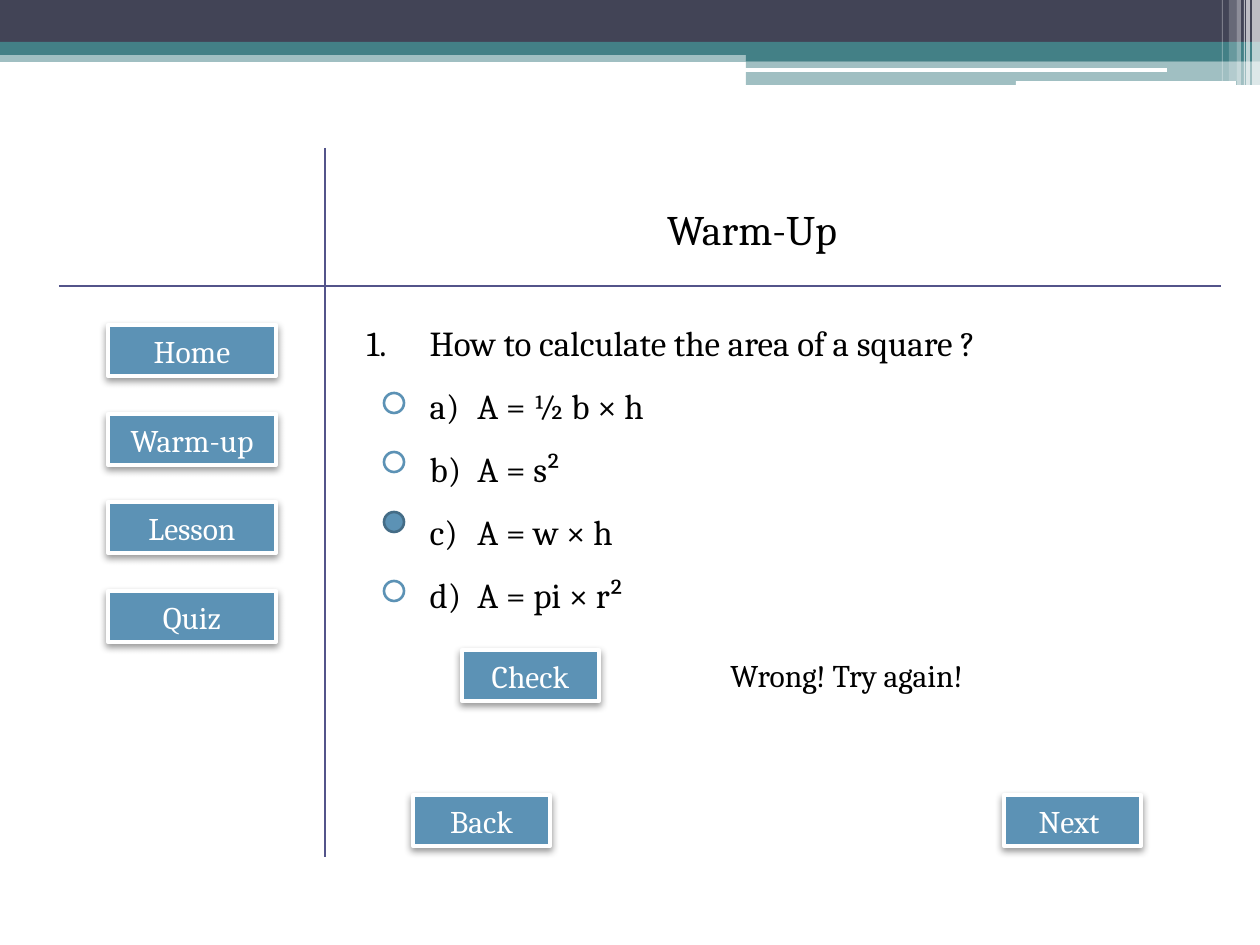
from lxml.etree import SubElement
from pptx import Presentation
from pptx.dml.color import RGBColor
from pptx.enum.shapes import MSO_CONNECTOR, MSO_SHAPE
from pptx.enum.text import MSO_ANCHOR, MSO_AUTO_SIZE, PP_ALIGN
from pptx.oxml.ns import qn
from pptx.util import Inches, Pt

PX = 914400 / 126
FONT = "Cambria"
BLUE, DARK_BLUE, RULE = "5C92B5", "446C86", "53548A"
NAVY, TEAL, WHITE, BLACK = "424456", "438086", "FFFFFF", "000000"

TITLE = ("Warm-Up", (344, 197, 816, 63))
QUESTION = "How to calculate the area of a square ?"
ANSWERS = ["A = ½ b × h", "A = s²", "A = w × h", "A = pi × r²"]
QUIZ_BOX = (354, 315, 857, 302)
FEEDBACK = ("Wrong! Try again!", (718, 650, 286, 51))

MENU = ["Home", "Warm-up", "Lesson", "Quiz"]
MENU_LEFT, MENU_TOP, MENU_PITCH, MENU_WIDTH = 108, 325, 88.6, 168
ACTIONS = [("Check", 462, 650), ("Next ", 1004, 795), ("Back", 413, 795)]
ACTION_WIDTH, BUTTON_HEIGHT = 137, 51

RADIO_TOPS = [393, 452, 512, 581]
RADIO_LEFT, RADIO_SIZE, CHOSEN = 384, 20, 2

# box, colour, opacity in percent
BANDS = [
    ((0, 50, 1260, 12), TEAL, 50),
    ((0, 0, 1260, 43), NAVY, 100),
    ((0, 42, 1260, 13), TEAL, 100),
    ((746, 49, 514, 12), TEAL, 100),
    ((746, 60, 514, 25), TEAL, 50),
    ((745, 68, 422, 4), WHITE, 100),
    ((1016, 81, 220, 5), WHITE, 100),
]
# left, width, height, opacity in percent
STRIPES = [(1252, 8, 86, 65), (1246, 4, 86, 65), (1244, 1, 86, 60),
           (1237, 4, 86, 40), (1229, 8, 81, 20), (1222, 1, 81, 30)]
RULES = [(59, 286, 1221, 286), (325, 148, 325, 857)]


def emu(*pixels):
    """Turn pixel lengths into EMU."""
    return [round(p * PX) for p in pixels]


def color(code):
    """Turn a hex string into a colour."""
    return RGBColor.from_string(code)


def assign(target, values):
    """Set each attribute named in a dict."""
    for name, value in values.items():
        setattr(target, name, value)


def add_block(box, fill, line=None, weight=0, kind=MSO_SHAPE.RECTANGLE, opacity=100):
    """Add a flat filled shape, with an outline if one is given."""
    block = slide.shapes.add_shape(kind, *emu(*box))
    block.shadow.inherit = False
    block.fill.solid()
    block.fill.fore_color.rgb = color(fill)
    if opacity < 100:
        tint = block.fill._xPr.find(".//" + qn("a:srgbClr"))
        SubElement(tint, qn("a:alpha"), val=str(opacity * 1000))
    if line:
        block.line.color.rgb = color(line)
        block.line.width = Pt(weight)
    else:
        block.line.fill.background()
    return block


def write(paragraph, words, size, ink=BLACK, **layout):
    """Put one formatted run in a paragraph."""
    assign(paragraph, layout)
    run = paragraph.add_run()
    run.text = words
    assign(run.font, {"name": FONT, "size": Pt(size)})
    run.font.color.rgb = color(ink)


def prepare(holder, box=None, anchor=MSO_ANCHOR.TOP):
    """Place a text holder and return its frame with fixed size and wrapping."""
    if box:
        assign(holder, dict(zip(("left", "top", "width", "height"), emu(*box))))
    frame = holder.text_frame
    assign(frame, {"word_wrap": True, "auto_size": MSO_AUTO_SIZE.NONE,
                   "vertical_anchor": anchor})
    return frame


def number(paragraph, scheme, margin, hanging):
    """Give a paragraph automatic numbering and a hanging indent."""
    props = paragraph._p.get_or_add_pPr()
    props.set("marL", str(Inches(margin)))
    props.set("indent", str(-Inches(hanging)))
    SubElement(props, qn("a:buFont"), typeface="+mj-lt")
    SubElement(props, qn("a:buAutoNum"), type=scheme)


def add_button(label, left, top, width):
    """Add a labelled button with a soft shadow below it."""
    button = add_block((left, top, width, BUTTON_HEIGHT), BLUE, WHITE, 2.5)
    effects = button._element.spPr.find(qn("a:effectLst"))
    shadow = SubElement(effects, qn("a:outerShdw"), blurRad=str(Pt(4.1)),
                        dist=str(Pt(2)), dir="5400000", rotWithShape="0")
    shade = SubElement(shadow, qn("a:srgbClr"), val=BLACK)
    SubElement(shade, qn("a:alpha"), val="40000")
    frame = prepare(button, anchor=MSO_ANCHOR.MIDDLE)
    write(frame.paragraphs[0], label, 18, WHITE, alignment=PP_ALIGN.CENTER)


def add_rule(*ends):
    """Add a thin straight line."""
    rule = slide.shapes.add_connector(MSO_CONNECTOR.STRAIGHT, *emu(*ends))
    rule.line.color.rgb = color(RULE)
    rule.line.width = Pt(0.75)
    SubElement(rule._element.spPr, qn("a:effectLst"))


deck = Presentation()
deck.slide_width, deck.slide_height = Inches(10), Inches(7.5)
slide = deck.slides.add_slide(deck.slide_layouts[1])

for box, fill, opacity in BANDS:
    add_block(box, fill, opacity=opacity)
for left, width, height, opacity in STRIPES:
    add_block((left, 0, width, height), WHITE, opacity=opacity)

for row, label in enumerate(MENU):
    add_button(label, MENU_LEFT, round(MENU_TOP + row * MENU_PITCH), MENU_WIDTH)
for ends in RULES:
    add_rule(*ends)

heading, heading_box = TITLE
title = prepare(slide.shapes.title, heading_box, MSO_ANCHOR.MIDDLE)
write(title.paragraphs[0], heading, 24, alignment=PP_ALIGN.CENTER)

quiz = prepare(slide.placeholders[1], QUIZ_BOX)
write(quiz.paragraphs[0], QUESTION, 20, space_before=Pt(0))
number(quiz.paragraphs[0], "arabicPeriod", 0.5, 0.5)
for answer in ANSWERS:
    option = quiz.add_paragraph()
    write(option, answer, 20, level=1, line_spacing=1.5, space_before=Pt(0))
    number(option, "alphaLcParenR", 0.88, 0.38)

for choice, top in enumerate(RADIO_TOPS):
    fill, line = (BLUE, DARK_BLUE) if choice == CHOSEN else (WHITE, BLUE)
    add_block((RADIO_LEFT, top, RADIO_SIZE, RADIO_SIZE), fill, line, 1.5, MSO_SHAPE.OVAL)

for label, left, top in ACTIONS:
    add_button(label, left, top, ACTION_WIDTH)
message, message_box = FEEDBACK
feedback = prepare(slide.shapes.add_textbox(*emu(*message_box)))
write(feedback.paragraphs[0], message, 18)

deck.save("out.pptx")
